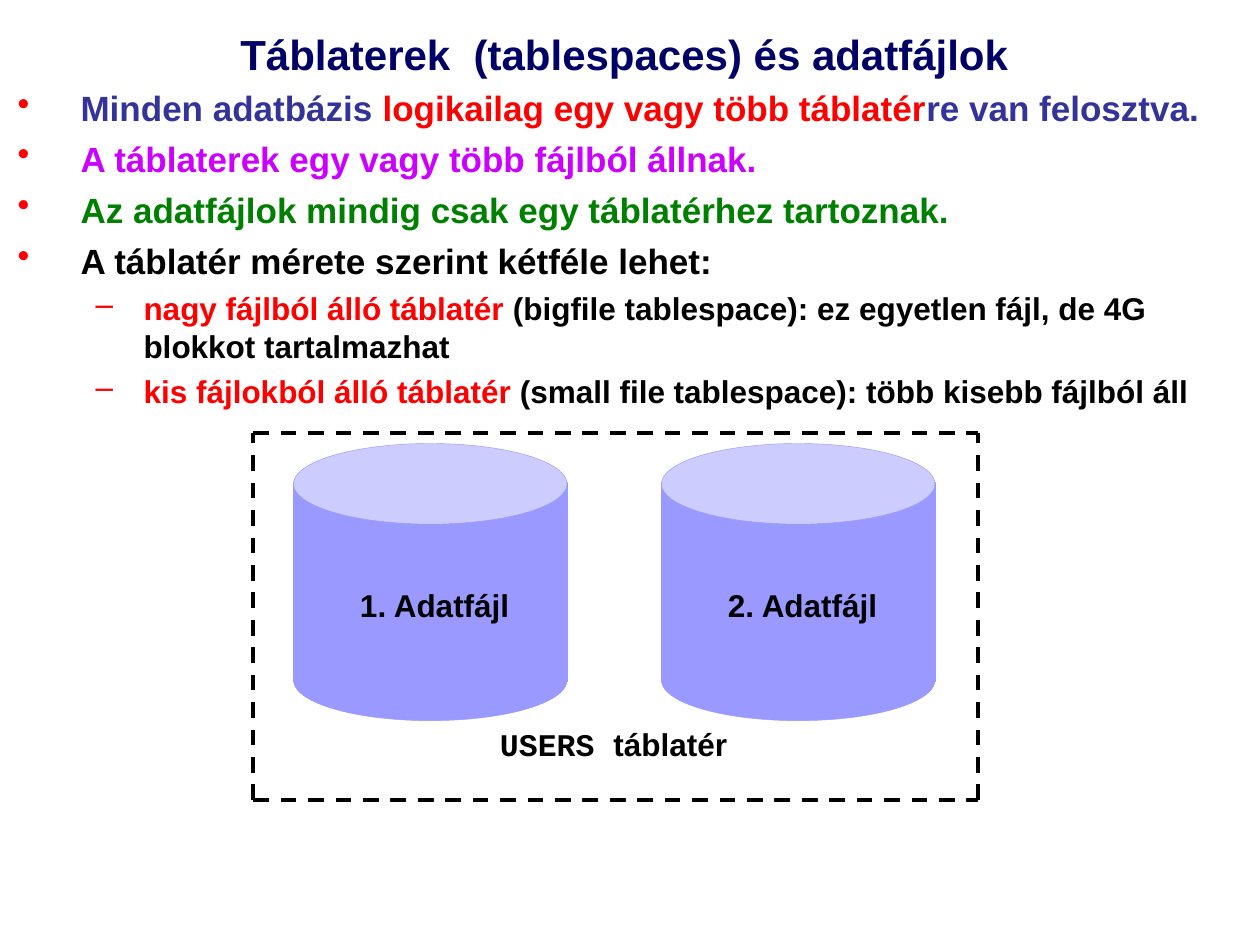
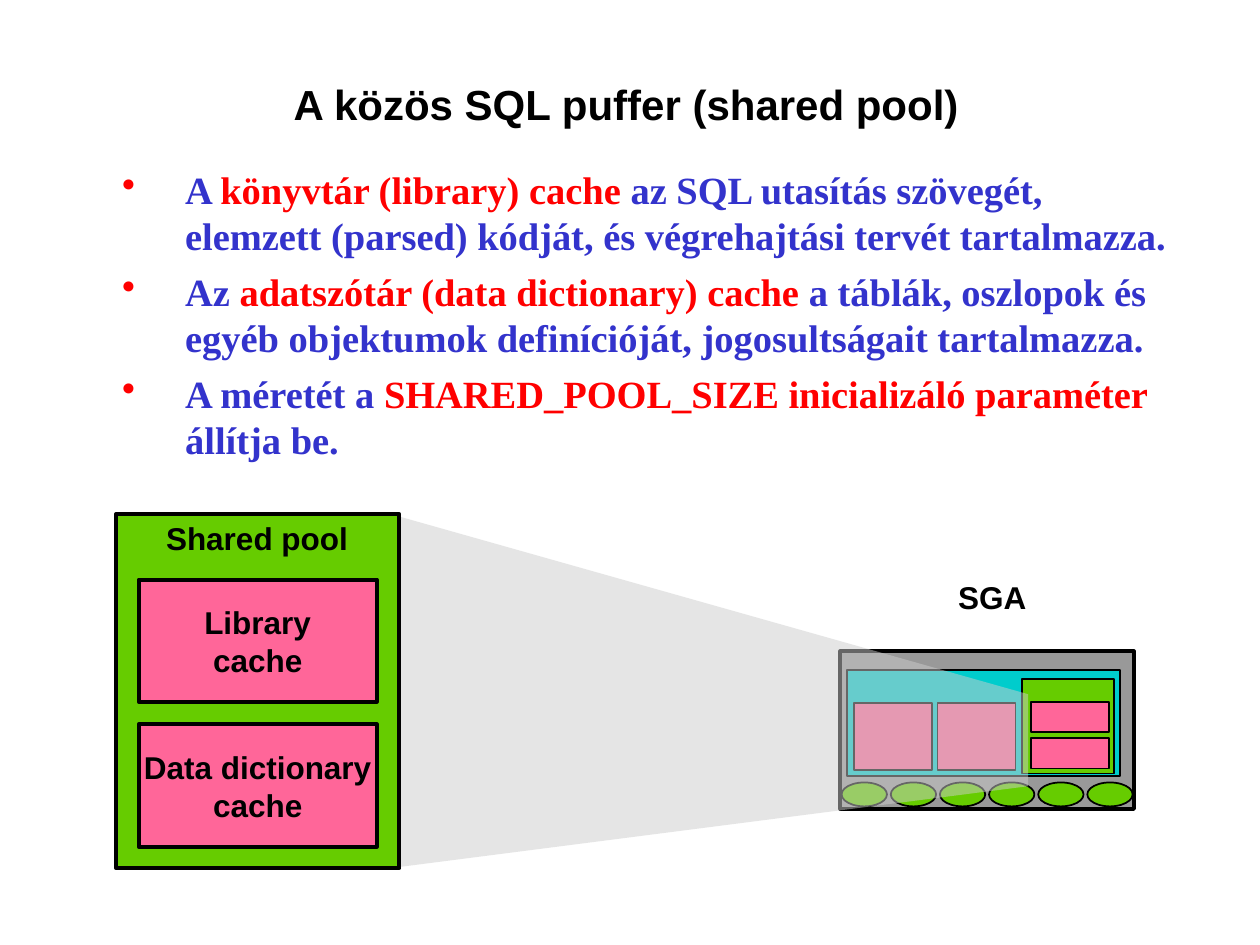
import dataclasses
import typing

import pptx
import pptx.dml.color
import pptx.enum.dml
import pptx.enum.shapes
import pptx.enum.text
import pptx.oxml.ns
import pptx.util
from lxml import etree

Inches = pptx.util.Inches
Pt = pptx.util.Pt
RGBColor = pptx.dml.color.RGBColor
PresetShape = pptx.enum.shapes.MSO_SHAPE
Align = pptx.enum.text.PP_ALIGN
Anchor = pptx.enum.text.MSO_ANCHOR
qn = pptx.oxml.ns.qn

BLACK = RGBColor(0x00, 0x00, 0x00)
NAVY = RGBColor(0x00, 0x00, 0x66)
INDIGO = RGBColor(0x33, 0x33, 0x99)
BLUE = RGBColor(0x33, 0x33, 0xCC)
RED = RGBColor(0xFF, 0x00, 0x00)
PURPLE = RGBColor(0xCC, 0x00, 0xFF)
DARK_GREEN = RGBColor(0x00, 0x80, 0x00)
PERIWINKLE = RGBColor(0x99, 0x99, 0xFF)
LAVENDER = RGBColor(0xCC, 0xCC, 0xFF)
GREEN = RGBColor(0x66, 0xCC, 0x00)
PINK = RGBColor(0xFF, 0x66, 0x99)
CYAN = RGBColor(0x00, 0xCC, 0xCC)
GRAY = RGBColor(0x99, 0x99, 0x99)
LIGHT_GRAY = RGBColor(0xCC, 0xCC, 0xCC)

SANS = "Arial"
SERIF = "Times New Roman"
MONO = "Courier New"
TIGHT = 0.01


@dataclasses.dataclass(frozen=True)
class Area:
    left: float
    top: float
    width: float
    height: float

    def lengths(self) -> list[int]:
        return [Inches(value) for value in dataclasses.astuple(self)]


@dataclasses.dataclass(frozen=True)
class Span:
    text: str
    color: RGBColor = BLACK
    font: str = SANS
    size: float = 18


@dataclasses.dataclass(frozen=True)
class Level:
    bullet: str
    margin: float
    hang: float
    space_before: float


@dataclasses.dataclass(frozen=True)
class Bullet:
    level: Level
    spans: tuple[Span, ...]


@dataclasses.dataclass(frozen=True)
class Block:
    area: Area
    fill: RGBColor
    line: RGBColor = BLACK
    weight: float = 1
    preset: typing.Any = PresetShape.RECTANGLE


def apply(target: typing.Any, values: dict[str, typing.Any]) -> None:
    for name, value in values.items():
        setattr(target, name, value)


def set_frame(frame: typing.Any, side: float, edge: float, **values: typing.Any) -> None:
    apply(frame, {"margin_left": Inches(side), "margin_right": Inches(side),
                  "margin_top": Inches(edge), "margin_bottom": Inches(edge),
                  "word_wrap": True, "vertical_anchor": Anchor.TOP, **values})


def add_spans(para: typing.Any, spans: typing.Iterable[Span]) -> None:
    for span in spans:
        run = para.add_run()
        run.text = span.text
        apply(run.font, {"name": span.font, "size": Pt(span.size), "bold": True})
        run.font.color.rgb = span.color


def next_para(frame: typing.Any, index: int) -> typing.Any:
    return frame.add_paragraph() if index else frame.paragraphs[0]


def set_title(page: typing.Any, area: Area, text: str, color: RGBColor) -> None:
    title = page.shapes.title
    apply(title, dict(zip(("left", "top", "width", "height"), area.lengths())))
    set_frame(title.text_frame, TIGHT, TIGHT, vertical_anchor=Anchor.MIDDLE,
              auto_size=pptx.enum.text.MSO_AUTO_SIZE.NONE)
    para = title.text_frame.paragraphs[0]
    para.alignment = Align.CENTER
    add_spans(para, [Span(text, color, size=24)])


def set_bullet(para: typing.Any, level: Level) -> None:
    properties = para._p.get_or_add_pPr()
    properties.set("marL", str(Inches(level.margin)))
    properties.set("indent", str(-Inches(level.hang)))
    tint = etree.SubElement(properties, qn("a:buClr"))
    etree.SubElement(tint, qn("a:srgbClr"), val=str(RED))
    etree.SubElement(properties, qn("a:buChar"), char=level.bullet)


def add_bullets(page: typing.Any, area: Area, bullets: list[Bullet]) -> None:
    box = page.shapes.add_textbox(*area.lengths())
    set_frame(box.text_frame, TIGHT, TIGHT)
    for index, bullet in enumerate(bullets):
        para = next_para(box.text_frame, index)
        set_bullet(para, bullet.level)
        para.space_before = Pt(bullet.level.space_before if index else 0)
        add_spans(para, bullet.spans)


def add_label(page: typing.Any, area: Area, spans: list[Span], side: float = 0.1,
              edge: float = 0.05, spacing: float = 1.0) -> None:
    box = page.shapes.add_textbox(*area.lengths())
    set_frame(box.text_frame, side, edge)
    para = box.text_frame.paragraphs[0]
    apply(para, {"alignment": Align.CENTER, "line_spacing": spacing})
    add_spans(para, spans)


def add_block(shapes: typing.Any, block: Block, lines: tuple[str, ...] = ()) -> None:
    shape = shapes.add_shape(block.preset, *block.area.lengths())
    shape.shadow.inherit = False
    shape.fill.solid()
    shape.fill.fore_color.rgb = block.fill
    shape.line.color.rgb = block.line
    shape.line.width = Pt(block.weight)
    if lines:
        set_frame(shape.text_frame, 0.1, 0.05, word_wrap=False, vertical_anchor=Anchor.MIDDLE)
    for index, text in enumerate(lines):
        para = next_para(shape.text_frame, index)
        para.alignment = Align.CENTER
        add_spans(para, [Span(text)])


def add_dashed_frame(page: typing.Any, area: Area) -> None:
    right, bottom = area.left + area.width, area.top + area.height
    for ends in ((area.left, bottom, right, bottom), (area.left, area.top, right, area.top),
                 (area.left, bottom, area.left, area.top), (right, bottom, right, area.top)):
        edge = page.shapes.add_connector(pptx.enum.shapes.MSO_CONNECTOR.STRAIGHT,
                                         *[Inches(value) for value in ends])
        apply(edge.line, {"width": Pt(2.25), "dash_style": pptx.enum.dml.MSO_LINE.DASH})
        edge.line.color.rgb = BLACK
        etree.SubElement(edge.element.spPr, qn("a:effectLst"))


def add_data_file(page: typing.Any, left: float, name: str) -> None:
    group = page.shapes.add_group_shape()
    rect, oval = PresetShape.RECTANGLE, PresetShape.OVAL
    for top, height, fill, preset in ((3.83, 1.58, PERIWINKLE, rect),
                                      (3.52, 0.64, LAVENDER, oval),
                                      (5.08, 0.64, PERIWINKLE, oval)):
        add_block(group.shapes, Block(Area(left, top, 2.17, height), fill, PERIWINKLE, 0.25, preset))
    add_label(page, Area(left - 0.18, 4.67, 2.6, 0.32), [Span(name)], 0.06, 0.03, 0.85)


def add_zoom_beam(page: typing.Any) -> None:
    corners = [(Inches(x), Inches(y)) for x, y in
               ((3.1, 4.08), (3.1, 6.89), (8.16, 6.24), (8.16, 5.51))]
    builder = page.shapes.build_freeform(*corners[0])
    builder.add_line_segments(corners[1:], close=True)
    beam = builder.convert_to_shape()
    beam.shadow.inherit = False
    beam.fill.solid()
    beam.fill.fore_color.rgb = LIGHT_GRAY
    beam.line.fill.background()
    tint = beam.element.spPr.find(qn("a:solidFill")).find(qn("a:srgbClr"))
    etree.SubElement(tint, qn("a:alpha"), val="50000")


def build_tablespaces(page: typing.Any) -> None:
    set_title(page, Area(0.98, 0.23, 7.95, 0.39), "Táblaterek  (tablespaces) és adatfájlok", NAVY)
    main, sub = Level("•", 0.63, 0.5, 5), Level("–", 1.13, 0.38, 4.5)
    add_bullets(page, Area(0, 0.68, 9.73, 2.96), [
        Bullet(main, (Span("Minden adatbázis ", INDIGO, size=20),
                      Span("logikailag egy vagy több táblatér", RED, size=20),
                      Span("re van felosztva.", INDIGO, size=20))),
        Bullet(main, (Span("A táblaterek egy vagy több fájlból állnak.", PURPLE, size=20),)),
        Bullet(main, (Span("Az adatfájlok mindig csak egy táblatérhez tartoznak.",
                           DARK_GREEN, size=20),)),
        Bullet(main, (Span("A táblatér mérete szerint kétféle lehet:", size=20),)),
        Bullet(sub, (Span("nagy fájlból álló táblatér", RED),
                     Span(" (bigfile tablespace): ez egyetlen fájl, de 4G blokkot tartalmazhat"))),
        Bullet(sub, (Span("kis fájlokból álló táblatér", RED),
                     Span(" (small file tablespace): több kisebb fájlból áll"))),
    ])
    add_dashed_frame(page, Area(2.01, 3.44, 5.75, 2.91))
    for left, name in ((2.33, "1. Adatfájl"), (5.25, "2. Adatfájl")):
        add_data_file(page, left, name)
    add_label(page, Area(3.57, 5.77, 2.6, 0.32), [Span("USERS ", font=MONO), Span("táblatér")],
              0.06, 0.03, 0.85)


def build_shared_pool(page: typing.Any) -> None:
    set_title(page, Area(0.97, 0.58, 8, 0.49), "A közös SQL puffer (shared pool)", BLACK)
    level = Level("•", 0.63, 0.5, 5.5)
    sentences = (
        ("A ", "könyvtár (library) cache ",
         "az SQL utasítás szövegét, elemzett (parsed) kódját, és végrehajtási tervét tartalmazza."),
        ("Az ", "adatszótár (data dictionary) cache ",
         "a táblák, oszlopok és egyéb objektumok definícióját, jogosultságait tartalmazza."),
        ("A méretét a ", "SHARED_POOL_SIZE inicializáló paraméter ", "állítja be."),
    )
    add_bullets(page, Area(0.83, 1.31, 8.58, 2.38), [
        Bullet(level, tuple(Span(text, color, SERIF, 22)
                            for text, color in zip(parts, (BLUE, RED, BLUE))))
        for parts in sentences
    ])

    sga = [Block(Area(6.67, 5.17, 2.33, 1.25), GRAY, weight=2.25),
           Block(Area(6.72, 5.32, 2.17, 0.84), CYAN)]
    buffers = [Block(Area(left, 5.58, 0.62, 0.53), PINK) for left in (6.78, 7.44)]
    small_pool = [Block(Area(8.11, 5.39, 0.73, 0.75), GREEN)]
    small_caches = [Block(Area(8.18, top, 0.62, 0.24), PINK) for top in (5.57, 5.86)]
    processes = [Block(Area(6.68 + 0.39 * index, 6.21, 0.36, 0.19), GREEN, preset=PresetShape.OVAL)
                 for index in range(6)]
    for block in sga + buffers + small_pool + small_caches + processes:
        add_block(page.shapes, block)
    add_zoom_beam(page)

    add_block(page.shapes, Block(Area(0.92, 4.08, 2.25, 2.81), GREEN, weight=2.25))
    for top, lines in ((4.6, ("Library", "cache")), (5.75, ("Data dictionary", "cache"))):
        add_block(page.shapes, Block(Area(1.1, top, 1.89, 0.97), PINK, weight=2.25), lines)
    add_label(page, Area(1, 4.07, 2.08, 0.4), [Span("Shared pool")])
    add_label(page, Area(7.05, 4.54, 1.65, 0.4), [Span("SGA")])


def main() -> None:
    deck = pptx.Presentation()
    apply(deck, {"slide_width": Inches(10), "slide_height": Inches(7.5)})
    title_only = deck.slide_layouts[5]
    for build in (build_tablespaces, build_shared_pool):
        build(deck.slides.add_slide(title_only))
    deck.save("out.pptx")


if __name__ == "__main__":
    main()
